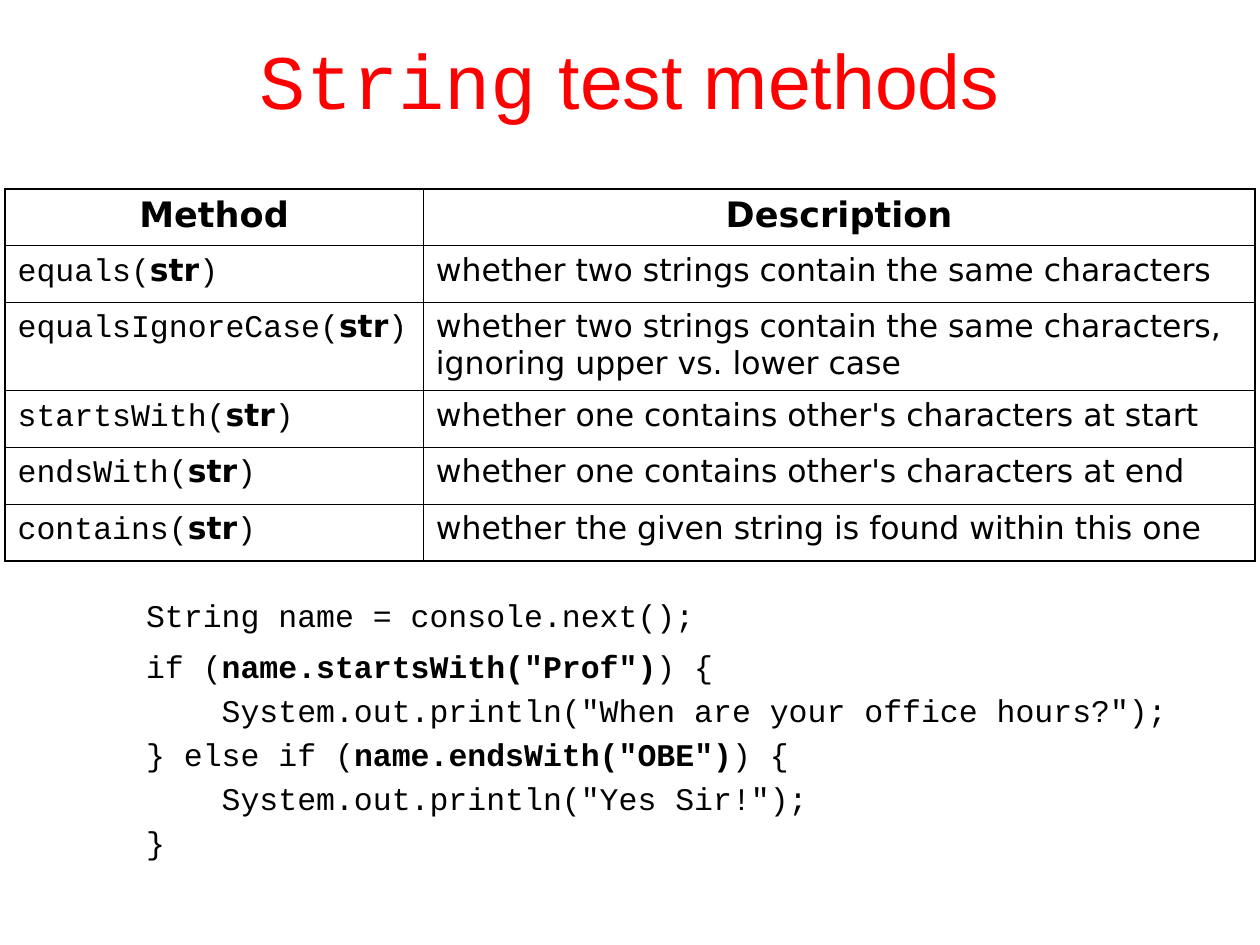
from typing import NamedTuple

from lxml.etree import SubElement
from pptx import Presentation
from pptx.dml.color import RGBColor
from pptx.enum.text import MSO_ANCHOR as Anchor, PP_ALIGN as Align
from pptx.oxml.ns import qn
from pptx.util import Inches, Pt

RED = RGBColor(0xFF, 0x00, 0x00)
BLACK = RGBColor(0x00, 0x00, 0x00)
MONO, SANS, TITLE_FONT = "Courier New", "DejaVu Sans", "Arial"
OUTER_BORDER, INNER_BORDER = 1.08, 0.45

# The slide is a grid of 200 columns and 150 rows
COLUMNS, ROWS = 200, 150
UNIT = Inches(10) // COLUMNS


class Box(NamedTuple):
    column: float
    row: float
    columns: float
    rows: float


class Method(NamedTuple):
    name: str
    description: str
    rows: int = 9


class CodeLine(NamedTuple):
    before: str
    bold: str = ""
    after: str = ""
    level: int = 0
    space_before: float = 0


METHODS = [
    Method("equals", "whether two strings contain the same characters"),
    Method("equalsIgnoreCase",
           "whether two strings contain the same characters, ignoring upper vs. lower case", 14),
    Method("startsWith", "whether one contains other's characters at start"),
    Method("endsWith", "whether one contains other's characters at end"),
    Method("contains", "whether the given string is found within this one"),
]
CODE = [
    CodeLine("String name = console.next();"),
    CodeLine("if (", 'name.startsWith("Prof")', ") {", space_before=4.5),
    CodeLine('System.out.println("When are your office hours?");', level=1),
    CodeLine("} else if (", 'name.endsWith("OBE")', ") {"),
    CodeLine('System.out.println("Yes Sir!");', level=1),
    CodeLine("}"),
]


def grid(cells: float) -> int:
    return round(cells * UNIT)


def add_text(paragraph, text: str, *, font: str = SANS, size: float = 18,
             color: RGBColor = BLACK, bold: bool = False) -> None:
    run = paragraph.add_run()
    run.text = text
    run.font.name, run.font.size, run.font.bold = font, Pt(size), bold
    run.font.color.rgb = color


def add_text_frame(slide, box: Box, inset: float = 0):
    frame = slide.shapes.add_textbox(*map(grid, box)).text_frame
    frame.word_wrap = True
    frame.margin_left = frame.margin_right = Inches(inset)
    frame.margin_top = frame.margin_bottom = Inches(inset / 2)
    return frame


def set_borders(cell, widths: dict[str, float]) -> None:
    properties = cell._tc.get_or_add_tcPr()
    for side, width in widths.items():
        line = SubElement(properties, qn(f"a:ln{side}"), w=str(Pt(width)))
        fill = SubElement(line, qn("a:solidFill"))
        SubElement(fill, qn("a:srgbClr"), val=str(BLACK))
    cell.fill.background()


def add_title(slide) -> None:
    frame = add_text_frame(slide, Box(15, 0, 170, 25), inset=0.1)
    frame.vertical_anchor = Anchor.MIDDLE
    paragraph = frame.paragraphs[0]
    paragraph.alignment = Align.CENTER
    add_text(paragraph, "String", font=MONO, size=44, color=RED)
    add_text(paragraph, " test methods", font=TITLE_FONT, size=44, color=RED)


def add_method_table(slide) -> None:
    row_heights = [9] + [method.rows for method in METHODS]
    column_widths = [66.4, 132]
    box = Box(0.8, 30, sum(column_widths), sum(row_heights))
    last_row, last_column = len(row_heights) - 1, len(column_widths) - 1
    table = slide.shapes.add_table(last_row + 1, last_column + 1, *map(grid, box)).table
    table.first_row = table.horz_banding = False
    for column, width in zip(table.columns, column_widths):
        column.width = grid(width)
    for row, height in zip(table.rows, row_heights):
        row.height = grid(height)

    # Heading row
    for column, heading in enumerate(["Method", "Description"]):
        paragraph = table.cell(0, column).text_frame.paragraphs[0]
        paragraph.alignment = Align.CENTER
        add_text(paragraph, heading, size=20, bold=True)

    # One row for each method
    for row, method in enumerate(METHODS, start=1):
        signature, description = (cell.text_frame.paragraphs[0] for cell in table.rows[row].cells)
        add_text(signature, f"{method.name}(", font=MONO)
        add_text(signature, "str", bold=True)
        add_text(signature, ")", font=MONO)
        add_text(description, method.description)

    # Heavy frame, fine inner lines
    for row in range(last_row + 1):
        for column in range(last_column + 1):
            on_edge = {"L": column == 0, "R": column == last_column,
                       "T": row == 0, "B": row == last_row}
            set_borders(table.cell(row, column),
                        {side: OUTER_BORDER if edge else INNER_BORDER
                         for side, edge in on_edge.items()})


def add_code(slide) -> None:
    frame = add_text_frame(slide, Box(23.2, 93.6, 172, 42))
    for index, line in enumerate(CODE):
        paragraph = frame.add_paragraph() if index else frame.paragraphs[0]
        paragraph.line_spacing = 1.16
        paragraph.space_before = Pt(line.space_before)
        # Four monospaced characters of 18 points are 0.6 inches wide
        paragraph._p.get_or_add_pPr().set("marL", str(line.level * Inches(0.6)))
        for text, bold in [(line.before, False), (line.bold, True), (line.after, False)]:
            if text:
                add_text(paragraph, text, font=MONO, bold=bold)


def main() -> None:
    presentation = Presentation()
    presentation.slide_width, presentation.slide_height = grid(COLUMNS), grid(ROWS)
    slide = presentation.slides.add_slide(presentation.slide_layouts[6])
    add_title(slide)
    add_method_table(slide)
    add_code(slide)
    presentation.save("out.pptx")


if __name__ == "__main__":
    main()
